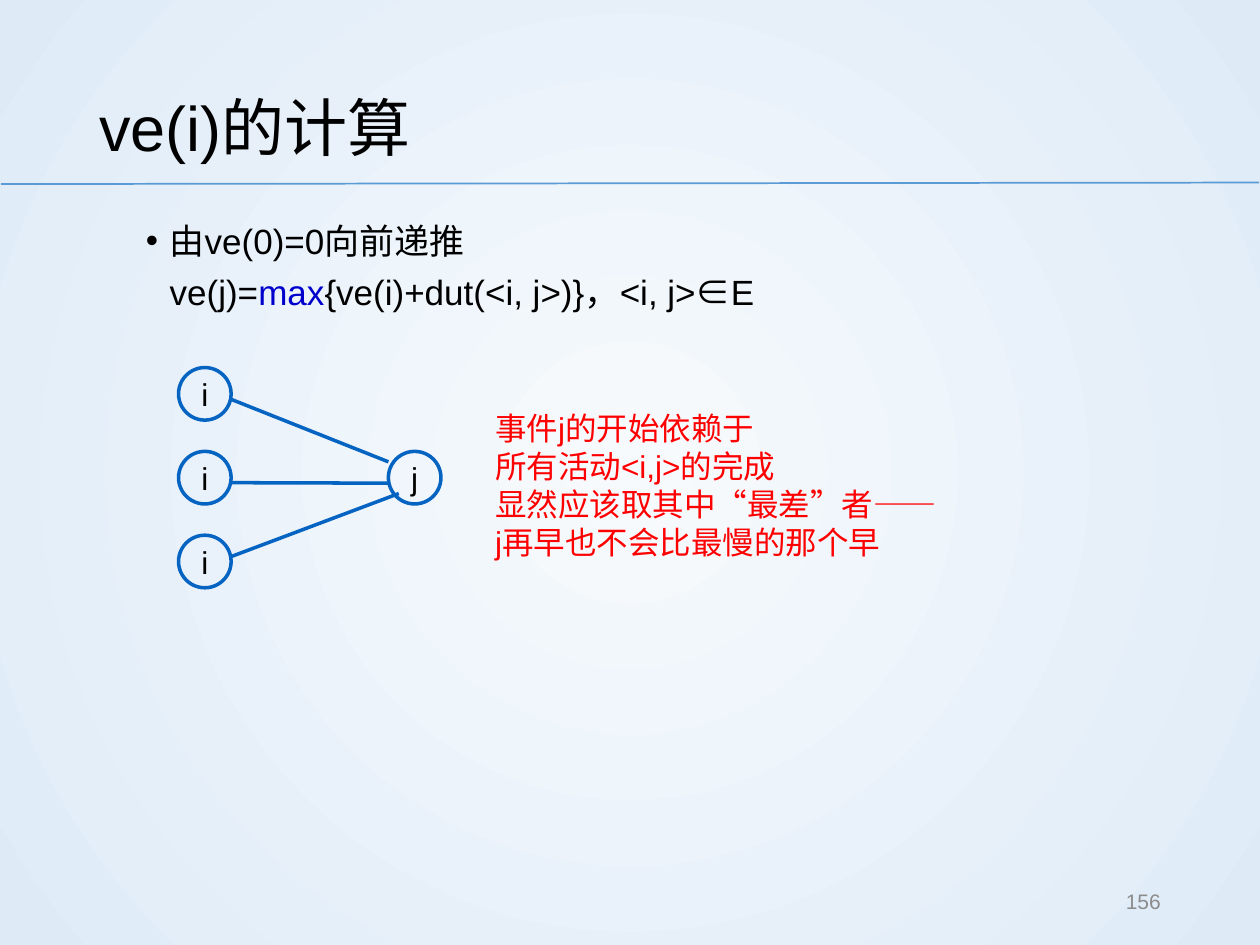
from dataclasses import dataclass

from lxml import etree
from pptx import Presentation
from pptx.dml.color import RGBColor
from pptx.enum.shapes import MSO_CONNECTOR, MSO_SHAPE
from pptx.enum.text import MSO_ANCHOR, MSO_AUTO_SIZE, PP_ALIGN
from pptx.oxml.ns import qn
from pptx.util import Cm, Pt

STRAIGHT = MSO_CONNECTOR.STRAIGHT
OVAL = MSO_SHAPE.OVAL
MIDDLE = MSO_ANCHOR.MIDDLE
LEFT, CENTER, RIGHT = PP_ALIGN.LEFT, PP_ALIGN.CENTER, PP_ALIGN.RIGHT
GROW = MSO_AUTO_SIZE.SHAPE_TO_FIT_TEXT

LATIN, CHINESE = "Arial", "Noto Sans CJK SC"
BLACK, RED, GRAY, NAVY = "000000", "FF0000", "8C8C8C", "0000CC"
RULE_BLUE, GRAPH_BLUE = "5B9BD5", "0563C1"
CENTER_TINT, EDGE_TINT = "F7FAFD", "DEEBF7"

MARGIN, CONTENT_WIDTH = 1.75, 21.9
NODE_SIZE = 1.06
SOURCE_LEFT, TARGET_LEFT = 3.6, 7.83
FIRST_TOP, NODE_STEP = 7.41, 1.69


@dataclass(frozen=True)
class Span:
    text: str
    color: str = BLACK
    font: str = LATIN


@dataclass(frozen=True)
class Node:
    label: str
    left: float
    top: float


@dataclass(frozen=True)
class Edge:
    start: tuple[float, float]
    end: tuple[float, float]
    color: str = GRAPH_BLUE
    width: float = 2


def rgb(value: str) -> RGBColor:
    return RGBColor.from_string(value)


def write(frame, *spans: Span, size: float, align=LEFT, anchor=None,
          spacing=None, wrap=True):
    """Fill the first paragraph; a newline in a span is a line break."""
    frame.word_wrap = wrap
    if anchor is not None:
        frame.vertical_anchor = anchor
    para = frame.paragraphs[0]
    para.alignment = align
    para.line_spacing = spacing
    for span in spans:
        for index, line in enumerate(span.text.split("\n")):
            if index:
                para.add_line_break()
            run = para.add_run()
            run.text = line
            run.font.size = Pt(size)
            run.font.name = span.font
            run.font.color.rgb = rgb(span.color)
            east_asian = etree.SubElement(run.font._element, qn("a:ea"))
            east_asian.set("typeface", CHINESE)
    return para


def add_box(page, left: float, top: float, width: float, height: float):
    return page.shapes.add_textbox(Cm(left), Cm(top), Cm(width), Cm(height)).text_frame


def add_bullet(para, margin: float, hanging: float) -> None:
    properties = para._p.get_or_add_pPr()
    properties.set("marL", str(Cm(margin)))
    properties.set("indent", str(-Cm(hanging)))
    etree.SubElement(properties, qn("a:buFont")).set("typeface", LATIN)
    etree.SubElement(properties, qn("a:buChar")).set("char", "•")


def draw_edge(page, edge: Edge) -> None:
    line = page.shapes.add_connector(STRAIGHT, *map(Cm, edge.start + edge.end))
    line.line.color.rgb = rgb(edge.color)
    line.line.width = Pt(edge.width)
    etree.SubElement(line._element.spPr, qn("a:effectLst"))


def draw_node(page, node: Node) -> None:
    circle = page.shapes.add_shape(
        OVAL, Cm(node.left), Cm(node.top), Cm(NODE_SIZE), Cm(NODE_SIZE))
    circle.shadow.inherit = False
    circle.fill.background()
    circle.line.color.rgb = rgb(GRAPH_BLUE)
    circle.line.width = Pt(2)
    write(circle.text_frame, Span(node.label), size=18, align=CENTER,
          anchor=MIDDLE, wrap=False)


def paint_background(page) -> None:
    """Radial gradient from the middle of the slide outwards."""
    fill = page.background.fill
    fill.gradient()
    for stop, color in zip(fill.gradient_stops, (CENTER_TINT, EDGE_TINT)):
        stop.color.rgb = rgb(color)
    gradient = page.element.find(".//" + qn("a:gradFill"))
    gradient.remove(gradient.find(qn("a:lin")))
    radial = etree.SubElement(gradient, qn("a:path"))
    radial.set("path", "circle")
    focus = etree.SubElement(radial, qn("a:fillToRect"))
    for side in "ltrb":
        focus.set(side, "50000")


def draw_graph(page) -> None:
    tops = [FIRST_TOP + row * NODE_STEP for row in range(3)]
    nodes = [Node("i", SOURCE_LEFT, top) for top in tops]
    nodes.append(Node("j", TARGET_LEFT, tops[1]))
    source_right = SOURCE_LEFT + NODE_SIZE
    edges = [
        Edge((source_right, 8.05), (TARGET_LEFT, 9.31)),
        Edge((source_right, 9.73), (TARGET_LEFT, 9.74)),
        Edge((source_right, 11.22), (8.04, 9.95)),
    ]
    for edge in edges:
        draw_edge(page, edge)
    for node in nodes:
        draw_node(page, node)


def main() -> None:
    deck = Presentation()
    deck.slide_width, deck.slide_height = Cm(25.4), Cm(19.05)
    page = deck.slides.add_slide(deck.slide_layouts[5])
    paint_background(page)
    draw_edge(page, Edge((0.02, 3.71), (25.38, 3.68), RULE_BLUE, 1))

    title = page.shapes.title
    title.left, title.top = Cm(MARGIN), Cm(1.02)
    title.width, title.height = Cm(CONTENT_WIDTH), Cm(2.74)
    write(title.text_frame, Span("ve(i)的计算"), size=36, anchor=MIDDLE, spacing=1.2)

    formula = write(
        add_box(page, MARGIN, 4.14, CONTENT_WIDTH, 13.03),
        Span("由ve(0)=0向前递推\nve(j)="),
        Span("max", NAVY),
        Span("{ve(i)+dut(<i, j>)}，<i, j>"),
        Span("∈", font=CHINESE),
        Span("E"),
        size=20, spacing=1.2)
    add_bullet(formula, 1.42, 0.48)

    draw_graph(page)

    note = add_box(page, 9.73, 8.13, 11.86, 3.33)
    note.auto_size = GROW
    write(note,
          Span("事件j的开始依赖于\n所有活动<i,j>的完成\n"
               "显然应该取其中“最差”者——\nj再早也不会比最慢的那个早", RED),
          size=18)

    write(add_box(page, 17.93, 17.65, 5.72, 1.02), Span("156", GRAY),
          size=12, align=RIGHT, anchor=MIDDLE)
    deck.save("out.pptx")


if __name__ == "__main__":
    main()
